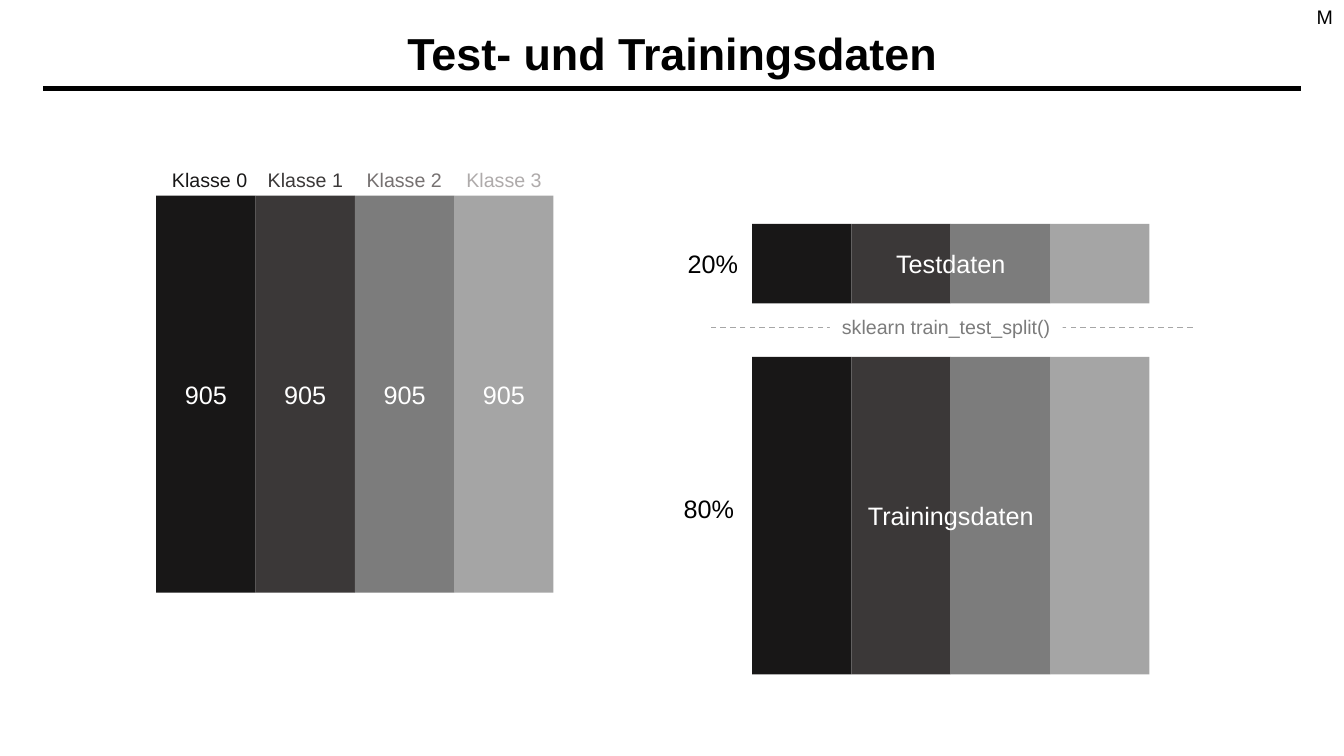
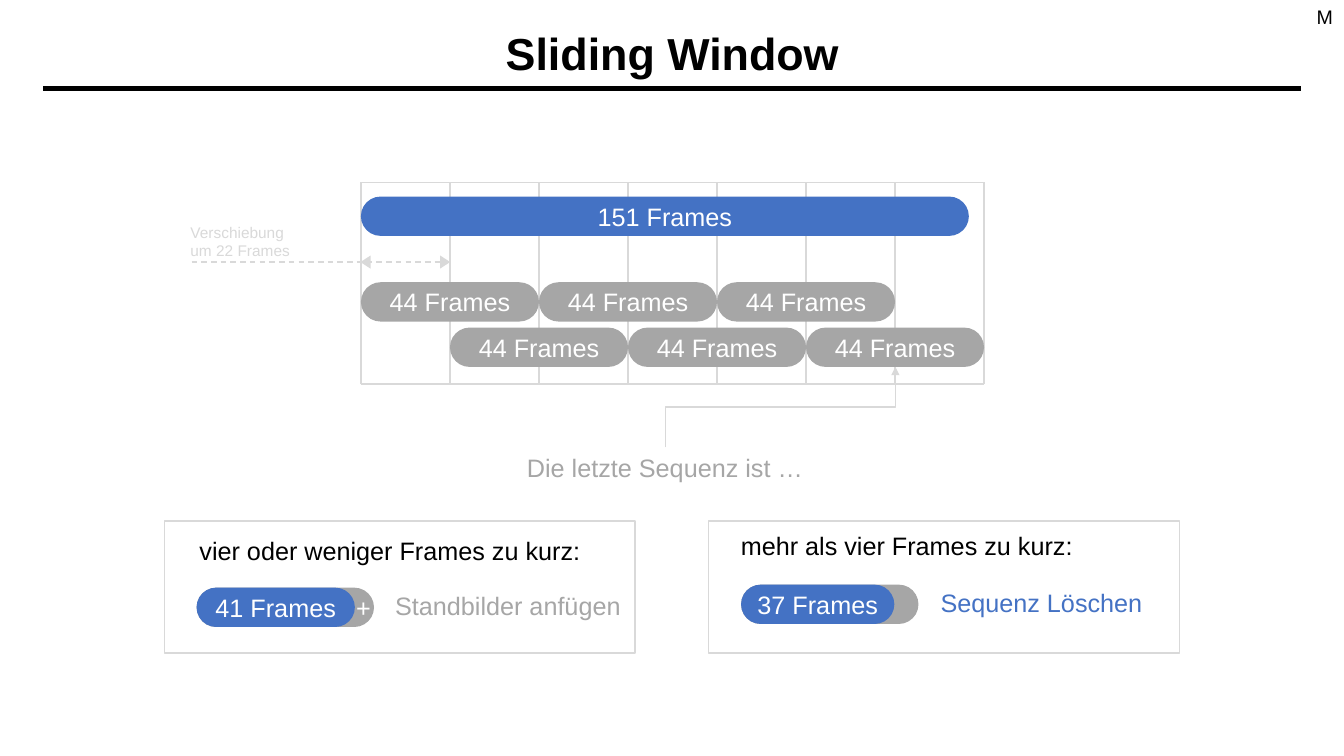
import pptx
import pptx.dml.color
import pptx.enum.dml
import pptx.enum.shapes
import pptx.enum.text
import pptx.oxml
import pptx.oxml.ns
import pptx.util

Inches = pptx.util.Inches
SHAPE = pptx.enum.shapes.MSO_SHAPE
CONNECTOR = pptx.enum.shapes.MSO_CONNECTOR
ALIGN = pptx.enum.text.PP_ALIGN
ANCHOR = pptx.enum.text.MSO_ANCHOR

COLORS = {
    "black": "000000", "white": "FFFFFF", "blue": "4472C4",
    "gray": "A6A6A6", "pale": "D9D9D9",
    "class0": "181717", "class1": "3B3838", "class2": "7C7C7C", "class3": "A5A5A5",
    "label2": "767171", "label3": "AFABAB",
}
CLASSES = ["class0", "class1", "class2", "class3"]


def rgb(name):
    return pptx.dml.color.RGBColor.from_string(COLORS[name])


class Deck:
    """Shared style and the slide being drawn."""

    def __init__(self):
        self.prs = pptx.Presentation()
        self.prs.slide_width, self.prs.slide_height = Inches(13.33), Inches(7.5)
        self.s = None

    def new_slide(self, title):
        self.s = self.prs.slides.add_slide(self.prs.slide_layouts[6])
        self.line(0.43, 0.88, 12.9, 0.88, "black", width=3.75)
        self.text(0.92, 0.1, 11.5, 0.91, title, size=32, bold=True,
                  anchor=ANCHOR.MIDDLE, line_spacing=0.9)
        self.text(12.94, 0, 0.4, 0.34, "M", size=14)

    def fill_text(self, sp, text, color, size=18, bold=False, align=ALIGN.CENTER,
                  anchor=ANCHOR.MIDDLE, inset=0.1, line_spacing=None):
        tf = sp.text_frame
        frame_format = {
            "word_wrap": True, "vertical_anchor": anchor,
            "margin_left": Inches(inset), "margin_right": Inches(inset),
        }
        for name, value in frame_format.items():
            setattr(tf, name, value)
        p = tf.paragraphs[0]
        p.alignment = align
        if line_spacing:
            p.line_spacing = line_spacing
        r = p.add_run()
        r.text = text
        font_format = {"name": "Arial", "size": pptx.util.Pt(size), "bold": bold}
        for name, value in font_format.items():
            setattr(r.font, name, value)
        r.font.color.rgb = rgb(color)

    def text(self, x, y, w, h, text, color="black", anchor=ANCHOR.TOP, **style):
        sp = self.s.shapes.add_textbox(Inches(x), Inches(y), Inches(w), Inches(h))
        self.fill_text(sp, text, color, anchor=anchor, **style)

    def shape(self, kind, x, y, w, h, fill=None, outline=None, text=None,
              color="white", rotation=0, **style):
        sp = self.s.shapes.add_shape(kind, Inches(x), Inches(y), Inches(w), Inches(h))
        sp.shadow.inherit = False
        sp.rotation = rotation
        if fill:
            sp.fill.solid()
            sp.fill.fore_color.rgb = rgb(fill)
        else:
            sp.fill.background()
        if outline:
            sp.line.color.rgb = rgb(outline)
            sp.line.width = pptx.util.Pt(1)
        else:
            sp.line.fill.background()
        if text:
            self.fill_text(sp, text, color, **style)
        return sp

    def pill(self, x, y, w, fill, text=None):
        sp = self.shape(SHAPE.ROUNDED_RECTANGLE, x, y, w, 0.39, fill, text=text, inset=0.05)
        sp.adjustments[0] = 0.5

    def line(self, x1, y1, x2, y2, color="pale", width=1, dashed=False,
             kind=CONNECTOR.STRAIGHT):
        c = self.s.shapes.add_connector(kind, Inches(x1), Inches(y1), Inches(x2), Inches(y2))
        c.line.color.rgb = rgb(color)
        c.line.width = pptx.util.Pt(width)
        if dashed:
            c.line.dash_style = pptx.enum.dml.MSO_LINE.DASH
        c._element.spPr.append(pptx.oxml.parse_xml(
            "<a:effectLst %s/>" % pptx.oxml.ns.nsdecls("a")))
        return c

    def upright_elbow(self, x1, y1, x2, y2):
        """Arrow that leaves and arrives vertically: an elbow turned by 90 degrees."""
        cx, cy = (x1 + x2) / 2, (y1 + y2) / 2
        dx, dy = (y1 - y2) / 2, (x2 - x1) / 2
        c = self.line(cx + dx, cy + dy, cx - dx, cy - dy, kind=CONNECTOR.ELBOW)
        c._element.spPr.get_or_add_xfrm().set("rot", "5400000")
        c._element.spPr.get_or_add_ln().append(pptx.oxml.parse_xml(
            '<a:tailEnd %s type="triangle"/>' % pptx.oxml.ns.nsdecls("a")))

    def class_columns(self, x, y, h, text=None):
        """Four adjoining columns, one for each class."""
        w = 3.94 / len(CLASSES)
        for i, fill in enumerate(CLASSES):
            self.shape(SHAPE.RECTANGLE, x + i * w, y, w, h, fill, text=text)

    def case_panel(self, x, heading_at, pill_at, heading, frames, pill_w,
                   action, action_x, action_color):
        """Framed case: a heading, a short sequence and what happens to it."""
        self.shape(SHAPE.RECTANGLE, x, 5.17, 4.67, 1.31, outline="pale")
        self.text(*heading_at, 4.34, 0.4, heading, align=ALIGN.LEFT)
        px, py = pill_at
        self.pill(px, py, 1.76, "gray")
        self.pill(px, py, pill_w, "blue", frames)
        self.text(action_x, py - 0.02, 2.55, 0.4, action, action_color, align=ALIGN.LEFT)


def split_slide(deck):
    deck.new_slide("Test- und Trainingsdaten")
    deck.class_columns(1.55, 1.94, 3.94, "905")
    labels = zip([1.46, 2.41, 3.39, 4.38], ["class0", "class1", "label2", "label3"])
    for i, (x, color) in enumerate(labels):
        deck.text(x, 1.62, 1.24, 0.34, f"Klasse {i}", color, size=14)

    deck.class_columns(7.46, 3.54, 3.15)
    deck.class_columns(7.46, 2.22, 0.79)
    deck.text(7.83, 2.41, 3.2, 0.4, "Testdaten", "white")
    deck.text(7.83, 4.91, 3.2, 0.4, "Trainingsdaten", "white")
    deck.text(6.68, 2.41, 0.78, 0.4, "20%")
    deck.text(6.64, 4.84, 0.78, 0.4, "80%")

    deck.line(11.83, 3.25, 7.03, 3.25, "gray", dashed=True)
    deck.shape(SHAPE.RECTANGLE, 8.23, 3.07, 2.31, 0.34, "white",
               text="sklearn train_test_split()", color="class2", size=14, inset=0.05)


def window_slide(deck):
    deck.new_slide("Sliding Window")
    left, right, top, bottom = 3.58, 9.76, 1.81, 3.81
    step = (right - left) / 7
    for i in range(8):
        deck.line(left + i * step, bottom, left + i * step, top)
    for y in (bottom, top):
        deck.line(right, y, left, y)

    deck.pill(left, 1.95, 6.03, "blue", "151 Frames")
    for i in range(6):
        deck.pill(left + i * step, 3.25 if i % 2 else 2.8, 2 * step, "gray", "44 Frames")

    deck.line(1.9, 2.6, 4.37, 2.6, dashed=True)
    for x, rotation in ((4.35, 90), (3.56, 270)):
        deck.shape(SHAPE.ISOSCELES_TRIANGLE, x, 2.55, 0.13, 0.1, "pale", rotation=rotation)
    deck.text(1.79, 2.16, 1.38, 0.47, "Verschiebung um 22 Frames", "pale",
              size=11, align=ALIGN.LEFT)

    deck.text(4.89, 4.44, 3.41, 0.4, "Die letzte Sequenz ist …", "gray")
    deck.upright_elbow(6.6, 4.44, 8.88, 3.64)

    deck.case_panel(1.63, (1.88, 5.26), (1.95, 5.83), "vier oder weniger Frames zu kurz:",
                    "41 Frames", 1.57, "Standbilder anfügen", 3.82, "gray")
    deck.text(3.46, 5.83, 0.29, 0.4, "+", "white", inset=0)
    deck.case_panel(7.03, (7.25, 5.21), (7.35, 5.8), "mehr als vier Frames zu kurz:",
                    "37 Frames", 1.52, "Sequenz Löschen", 9.23, "blue")


def main():
    deck = Deck()
    split_slide(deck)
    window_slide(deck)
    deck.prs.save("out.pptx")


if __name__ == "__main__":
    main()
